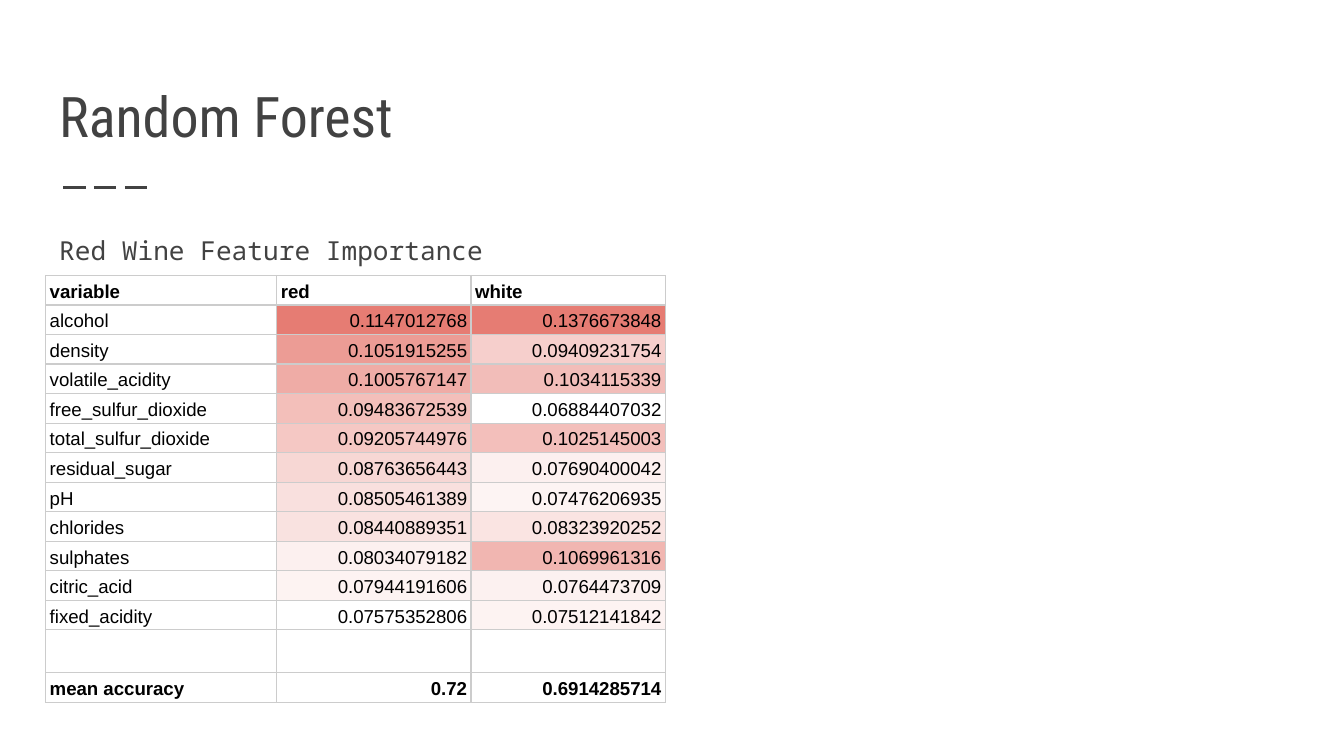
"""Build the Random Forest feature importance slide."""
from dataclasses import dataclass

from lxml import etree
from pptx import Presentation
from pptx import util as u
from pptx.dml.color import RGBColor
from pptx.enum import dml, shapes, text
from pptx.oxml import ns


@dataclass(frozen=True)
class Theme:
    """Colours, fonts and sizes of the slide."""
    ink: str = "424242"
    cell_ink: str = "000000"
    border: str = "CCCCCC"
    cold: str = "FFFFFF"
    hot: str = "E67C73"
    title_font: str = "Roboto Condensed"
    body_font: str = "Noto Sans Mono"
    table_font: str = "Arial"
    title_size: float = 30
    body_size: float = 14
    table_size: float = 10
    rule_width: float = 1.5
    border_width: float = 0.75
    spacing: float = 1.15


class SlideBuilder:
    """Draw styled elements on a square grid of 100 columns."""

    def __init__(self, presentation, theme):
        """Add a slide with title and body placeholders."""
        self.theme = theme
        self.unit = presentation.slide_width / 100
        self.slide = presentation.slides.add_slide(presentation.slide_layouts[1])

    def grid(self, *lengths):
        """Convert grid units to slide lengths."""
        return [u.Emu(round(length * self.unit)) for length in lengths]

    def style(self, paragraph, font, size, colour, bold=False):
        """Set the font of a whole paragraph."""
        paragraph.font.name = font
        paragraph.font.size = u.Pt(size)
        paragraph.font.bold = bold
        paragraph.font.color.rgb = RGBColor.from_string(colour)

    def placeholder(self, index, wording, box, font, size, anchor):
        """Move, fill and format a placeholder."""
        shape = self.slide.placeholders[index]
        shape.left, shape.top, shape.width, shape.height = self.grid(*box)
        frame = shape.text_frame
        frame.text = wording
        frame.auto_size = text.MSO_AUTO_SIZE.NONE
        frame.vertical_anchor = anchor
        inset, = self.grid(1)
        frame.margin_left = frame.margin_right = inset
        frame.margin_top = frame.margin_bottom = inset
        paragraph = frame.paragraphs[0]
        paragraph.alignment = text.PP_ALIGN.LEFT
        paragraph.space_before = u.Pt(0)
        self.style(paragraph, font, size, self.theme.ink)
        return paragraph

    def title(self, wording, box):
        """Write the slide title."""
        self.placeholder(0, wording, box, self.theme.title_font,
                         self.theme.title_size, text.MSO_ANCHOR.BOTTOM)

    def body(self, wording, box):
        """Write the body line without a bullet."""
        paragraph = self.placeholder(1, wording, box, self.theme.body_font,
                                     self.theme.body_size, text.MSO_ANCHOR.TOP)
        paragraph.line_spacing = self.theme.spacing
        properties = paragraph._p.get_or_add_pPr()
        properties.set("marL", "0")
        properties.set("indent", "0")
        bullet = etree.Element(ns.qn("a:buNone"))
        properties.find(ns.qn("a:defRPr")).addprevious(bullet)

    def dashed_rule(self, left, right, top):
        """Draw a horizontal dashed line."""
        rule = self.slide.shapes.add_connector(
            shapes.MSO_CONNECTOR.STRAIGHT, *self.grid(left, top, right, top))
        rule.line.color.rgb = RGBColor.from_string(self.theme.ink)
        rule.line.width = u.Pt(self.theme.rule_width)
        rule.line.dash_style = dml.MSO_LINE.LONG_DASH
        etree.SubElement(rule._element.spPr, ns.qn("a:effectLst"))

    def borders(self, cell):
        """Outline all four sides of a cell."""
        properties = cell._tc.get_or_add_tcPr()
        for side in ("a:lnL", "a:lnR", "a:lnT", "a:lnB"):
            line = etree.SubElement(properties, ns.qn(side),
                                    w=str(u.Pt(self.theme.border_width)))
            fill = etree.SubElement(line, ns.qn("a:solidFill"))
            etree.SubElement(fill, ns.qn("a:srgbClr"), val=self.theme.border)

    def cell(self, cell, wording, fill=None, bold=False, right=False):
        """Fill and format one table cell."""
        cell.text = wording
        side, end = self.grid(0.3, 0.2)
        cell.margin_left = cell.margin_right = side
        cell.margin_top = cell.margin_bottom = end
        cell.vertical_anchor = text.MSO_ANCHOR.BOTTOM
        self.borders(cell)
        if fill:
            cell.fill.solid()
            cell.fill.fore_color.rgb = fill
        else:
            cell.fill.background()
        paragraph = cell.text_frame.paragraphs[0]
        paragraph.line_spacing = self.theme.spacing
        paragraph.alignment = text.PP_ALIGN.RIGHT if right else text.PP_ALIGN.LEFT
        self.style(paragraph, self.theme.table_font, self.theme.table_size,
                   self.theme.cell_ink, bold)

    def heat(self, value, values):
        """Return the scale colour of a value within its column."""
        low, high = min(values), max(values)
        share = (value - low) / (high - low)
        cold = RGBColor.from_string(self.theme.cold)
        hot = RGBColor.from_string(self.theme.hot)
        return RGBColor(*(round(a + (b - a) * share) for a, b in zip(cold, hot)))

    def heat_table(self, header, records, summary, left, top, widths,
                   row_height, gap_height):
        """Draw a table with colour scales, a blank row and a summary."""
        rows = [header, *records, ("",) * len(header), summary]
        heights = [row_height] * len(rows)
        heights[-2] = gap_height
        table = self.slide.shapes.add_table(
            len(rows), len(header),
            *self.grid(left, top, sum(widths), sum(heights))).table
        table.first_row = table.horz_banding = False
        for column, width in zip(table.columns, self.grid(*widths)):
            column.width = width
        for row, height in zip(table.rows, self.grid(*heights)):
            row.height = height
        scales = [[float(value) for value in column]
                  for column in list(zip(*records))[1:]]
        for r, row in enumerate(rows):
            for c, wording in enumerate(row):
                number = r > 0 and c > 0
                scaled = number and r <= len(records)
                fill = self.heat(float(wording), scales[c - 1]) if scaled else None
                self.cell(table.cell(r, c), wording, fill,
                          bold=row in (header, summary), right=number)


HEADER = ("variable", "red", "white")
IMPORTANCES = [
    ("alcohol", "0.1147012768", "0.1376673848"),
    ("density", "0.1051915255", "0.09409231754"),
    ("volatile_acidity", "0.1005767147", "0.1034115339"),
    ("free_sulfur_dioxide", "0.09483672539", "0.06884407032"),
    ("total_sulfur_dioxide", "0.09205744976", "0.1025145003"),
    ("residual_sugar", "0.08763656443", "0.07690400042"),
    ("pH", "0.08505461389", "0.07476206935"),
    ("chlorides", "0.08440889351", "0.08323920252"),
    ("sulphates", "0.08034079182", "0.1069961316"),
    ("citric_acid", "0.07944191606", "0.0764473709"),
    ("fixed_acidity", "0.07575352806", "0.07512141842"),
]
ACCURACY = ("mean accuracy", "0.72", "0.6914285714")


def main():
    """Build and save the presentation."""
    presentation = Presentation()
    presentation.slide_width = u.Inches(10)
    presentation.slide_height = presentation.slide_width * 9 // 16
    builder = SlideBuilder(presentation, Theme())
    margin = 3.4
    builder.dashed_rule(4.7, 11.4, 13.95)
    builder.title("Random Forest", (margin, 4.1, 100 - 2 * margin, 8))
    builder.body("Red Wine Feature Importance", (margin, 16.1, 78.4, 7.3))
    builder.heat_table(HEADER, IMPORTANCES, ACCURACY, margin, 20.5,
                       widths=(17.2, 14.45, 14.45), row_height=2.2, gap_height=3.2)
    presentation.save("out.pptx")


if __name__ == "__main__":
    main()
